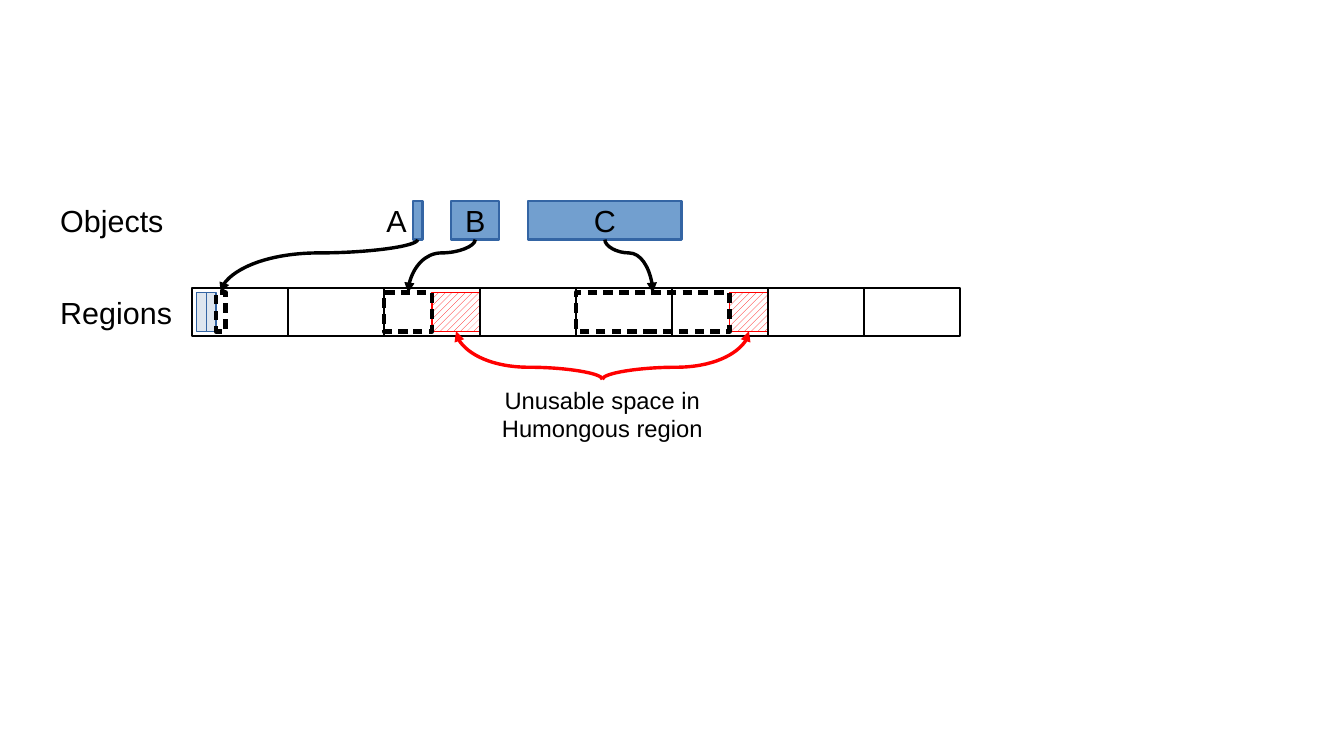
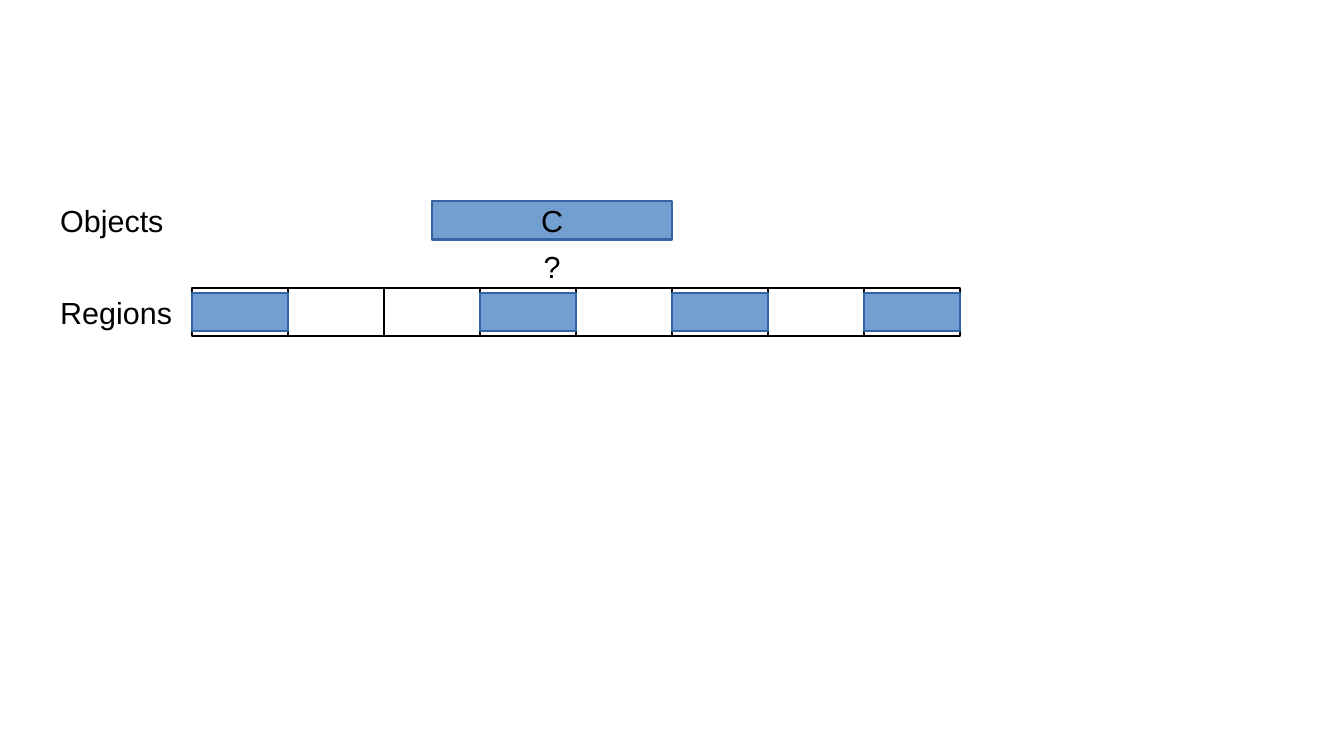
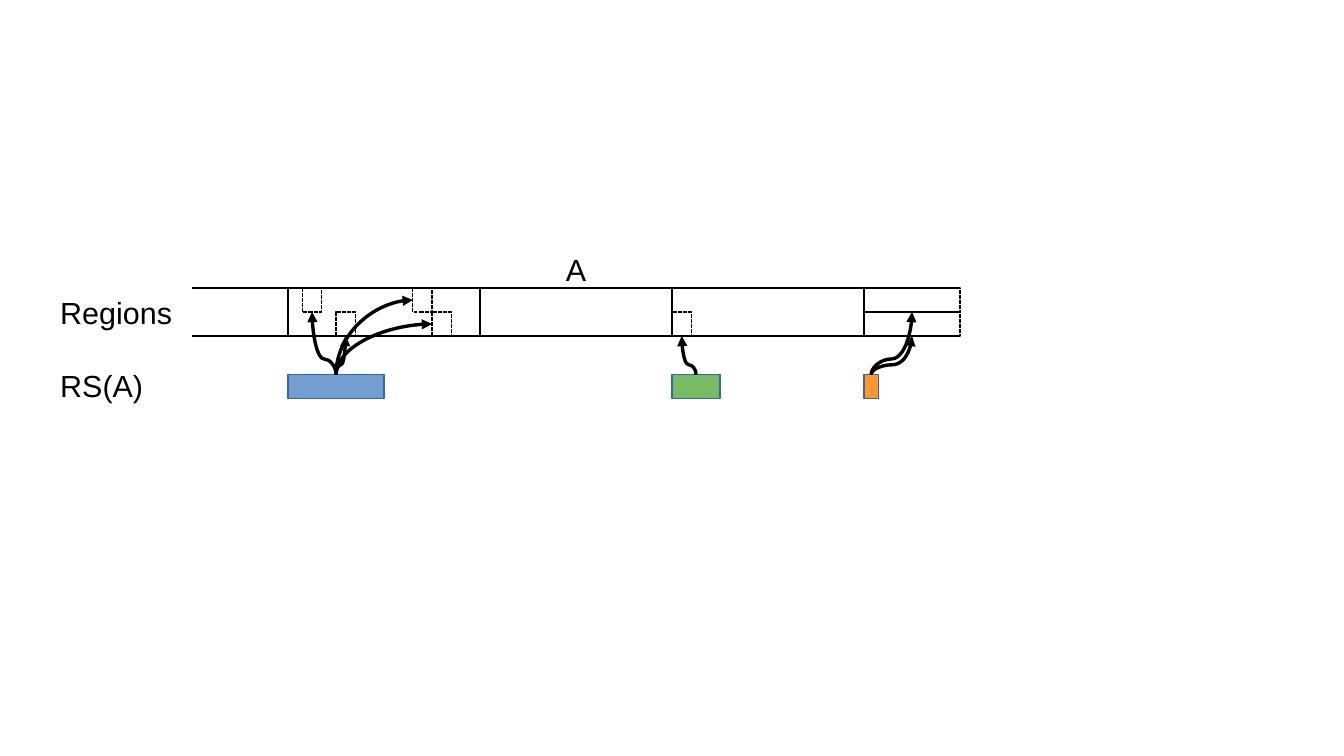
from lxml import etree
from pptx import Presentation
from pptx.dml.color import RGBColor
from pptx.enum.dml import MSO_PATTERN
from pptx.enum.shapes import MSO_CONNECTOR, MSO_SHAPE
from pptx.enum.text import MSO_ANCHOR, MSO_AUTO_SIZE, PP_ALIGN
from pptx.oxml.ns import qn
from pptx.util import Pt

RECTANGLE = MSO_SHAPE.RECTANGLE
STRAIGHT, CURVE = MSO_CONNECTOR.STRAIGHT, MSO_CONNECTOR.CURVE
HATCH = MSO_PATTERN.WIDE_UPWARD_DIAGONAL
LEFT, CENTER = PP_ALIGN.LEFT, PP_ALIGN.CENTER
TOP_ANCHOR, MIDDLE_ANCHOR = MSO_ANCHOR.TOP, MSO_ANCHOR.MIDDLE
FIT_SHAPE = MSO_AUTO_SIZE.SHAPE_TO_FIT_TEXT
TOP, LEFT_SIDE, BOTTOM = 0, 1, 2

BLACK = RGBColor(0x00, 0x00, 0x00)
WHITE = RGBColor(0xFF, 0xFF, 0xFF)
RED = RGBColor(0xFF, 0x00, 0x00)
BLUE = RGBColor(0x72, 0x9F, 0xCF)
PALE_BLUE = RGBColor(0xDE, 0xE6, 0xEF)
DARK_BLUE = RGBColor(0x34, 0x65, 0xA4)
GREEN = RGBColor(0x77, 0xBC, 0x65)
ORANGE = RGBColor(0xFF, 0x97, 0x2F)

FONT = "Arial"
SLIDE_WIDTH, SLIDE_HEIGHT = 793.7, 446.4
HAIRLINE, NORMAL, HEAVY = 0, 1.42, 2.83
HEAVY_DASH, FINE_DASH = (200, 130), (300, 100)  # percent of the line width

# Horizontal places are counted in regions from the start of the heap.
HEAP_LEFT, REGION_WIDTH = 113.4, 56.7
REGION_TOP, REGION_HEIGHT = 170.1, 28.3
HALF_HEIGHT = REGION_HEIGHT / 2
OBJECT_TOP, OBJECT_HEIGHT = 118.8, 22.7
USED_TOP = REGION_TOP + (REGION_HEIGHT - OBJECT_HEIGHT) / 2
REMEMBERED_TOP = 221.2
LABEL_LEFT, LABEL_WIDTH, LABEL_HEIGHT = 28.5, 85, 47.5
OBJECTS_LABEL_TOP, REMEMBERED_LABEL_TOP = 116, 213.1
CURVE_BEND = 0.25

REGION_COUNT = 8
# start, width, label, then start of the place the object goes to
HUMONGOUS_OBJECTS = [(2.3, 0.1, "", 0.25), (2.7, 0.5, "B", 2), (3.5, 1.6, "C", 4)]
SMALL_OBJECTS = [0.05, 0.15]
UNUSABLE_SPACES = [(2.5, 0.5), (5.6, 0.4)]
UNUSABLE_TEXT = "Unusable space in\nHumongous region"
OCCUPIED_REGIONS = [0, 3, 5, 7]

# start, width, colour, then cards as (start, width, row, side the arrow reaches)
REMEMBERED_SETS = [
    (1, 1, BLUE, [(1.15, 0.2, 0, BOTTOM), (1.5, 0.2, 1, BOTTOM),
                  (2.3, 0.2, 0, LEFT_SIDE), (2.5, 0.2, 1, LEFT_SIDE)]),
    (5, 0.5, GREEN, [(5, 0.2, 1, BOTTOM)]),
    (7, 0.15, ORANGE, [(7, 1, 0, BOTTOM), (7, 1, 1, BOTTOM)]),
]


def column(position):
    return HEAP_LEFT + position * REGION_WIDTH


def write(shape, text, size=18, align=CENTER, anchor=MIDDLE_ANCHOR, wrap=False):
    frame = shape.text_frame
    frame.word_wrap = wrap
    frame.vertical_anchor = anchor
    paragraph = frame.paragraphs[0]
    paragraph.text = text
    paragraph.alignment = align
    for run in paragraph.runs:
        run.font.name = FONT
        run.font.size = Pt(size)
        run.font.color.rgb = BLACK


def add_text(slide, text, left, top, width, height, **text_format):
    box = slide.shapes.add_textbox(Pt(left), Pt(top), Pt(width), Pt(height))
    write(box, text, anchor=TOP_ANCHOR, wrap=True, **text_format)
    box.text_frame.auto_size = FIT_SHAPE
    return box


def add_row_label(slide, text, top):
    add_text(slide, text, LABEL_LEFT, top, LABEL_WIDTH, LABEL_HEIGHT, align=LEFT)


def set_dash(line, dash):
    custom = etree.SubElement(line._get_or_add_ln(), qn("a:custDash"))
    stop = etree.SubElement(custom, qn("a:ds"))
    for name, percent in zip(("d", "sp"), dash):
        stop.set(name, str(percent * 1000))


def add_block(slide, start, width, top, height, fill=None, line=BLACK,
              weight=NORMAL, dash=None, text=""):
    """Add a rectangle whose start and width are counted in regions."""
    block = slide.shapes.add_shape(RECTANGLE, Pt(column(start)), Pt(top),
                                   Pt(width * REGION_WIDTH), Pt(height))
    block.shadow.inherit = False
    if fill is None:
        block.fill.background()
    else:
        block.fill.solid()
        block.fill.fore_color.rgb = fill
    block.line.color.rgb = line
    block.line.width = Pt(weight)
    if dash:
        set_dash(block.line, dash)
    if text:
        write(block, text)
    return block


def add_regions(slide, starts, width=1):
    for start in starts:
        add_block(slide, start, width, REGION_TOP, REGION_HEIGHT)


def add_line(slide, kind, ends, color=BLACK, weight=NORMAL):
    connector = slide.shapes.add_connector(kind, *(Pt(value) for value in ends))
    connector.line.color.rgb = color
    connector.line.width = Pt(weight)
    etree.SubElement(connector._element.spPr, qn("a:effectLst"))
    return connector


def add_curved_arrow(slide, source, source_side, target, target_side, color=BLACK):
    """Join two shapes by a curve that leaves the source vertically."""
    connector = add_line(slide, CURVE, (0, 0, 0, 0), color, HAIRLINE)
    connector.begin_connect(source, source_side)
    connector.end_connect(target, target_side)
    across = connector.end_x - connector.begin_x
    down = connector.end_y - connector.begin_y
    center_x = (connector.begin_x + connector.end_x) // 2
    center_y = (connector.begin_y + connector.end_y) // 2

    # The preset curve runs sideways, so its frame is turned by a quarter.
    connector.width, connector.height = abs(down), abs(across)
    connector.left = center_x - abs(down) // 2
    connector.top = center_y - abs(across) // 2
    flip_h, flip_v = across > 0, down < 0
    properties = connector._element.spPr
    frame = properties.find(qn("a:xfrm"))
    frame.set("rot", str((90 if flip_h == flip_v else 270) * 60000))
    frame.set("flipH", str(int(flip_h)))
    frame.set("flipV", str(int(flip_v)))

    geometry = properties.find(qn("a:prstGeom"))
    if target_side == LEFT_SIDE:
        geometry.set("prst", "curvedConnector2")
    else:
        guide = etree.SubElement(geometry.find(qn("a:avLst")), qn("a:gd"))
        guide.set("name", "adj1")
        guide.set("fmla", f"val {int(CURVE_BEND * 100000)}")
    tail = etree.SubElement(connector.line._get_or_add_ln(), qn("a:tailEnd"))
    tail.set("type", "triangle")


def build_allocation(slide):
    unusable = []
    for start, width in UNUSABLE_SPACES:
        space = add_block(slide, start, width, USED_TOP, OBJECT_HEIGHT,
                          line=RED, weight=HAIRLINE)
        space.fill.patterned()
        space.fill.pattern = HATCH
        space.fill.fore_color.rgb = RED
        space.fill.back_color.rgb = WHITE
        unusable.append(space)
    note = add_text(slide, UNUSABLE_TEXT, column(2.75), 224, 172.8, 39, size=14)
    add_regions(slide, range(REGION_COUNT))
    add_row_label(slide, "Objects", OBJECTS_LABEL_TOP)
    add_row_label(slide, "Regions", REGION_TOP)
    for start in SMALL_OBJECTS:
        add_block(slide, start, 0.1, USED_TOP, OBJECT_HEIGHT, PALE_BLUE,
                  DARK_BLUE, HAIRLINE)
    add_text(slide, "A", column(1.83), OBJECT_TOP - 3, 34, 29)
    for start, width, text, place_start in HUMONGOUS_OBJECTS:
        item = add_block(slide, start, width, OBJECT_TOP, OBJECT_HEIGHT, BLUE,
                         DARK_BLUE, text=text)
        place = add_block(slide, place_start, width, USED_TOP, OBJECT_HEIGHT,
                          weight=HEAVY, dash=HEAVY_DASH)
        add_curved_arrow(slide, item, BOTTOM, place, TOP)
    for space in unusable:
        add_curved_arrow(slide, note, TOP, space, BOTTOM, RED)


def build_fragmentation(slide):
    add_regions(slide, range(REGION_COUNT))
    add_row_label(slide, "Objects", OBJECTS_LABEL_TOP)
    add_row_label(slide, "Regions", REGION_TOP)
    add_block(slide, 2.5, 2.5, OBJECT_TOP, OBJECT_HEIGHT, BLUE, DARK_BLUE, text="C")
    for start in OCCUPIED_REGIONS:
        add_block(slide, start, 1, USED_TOP, OBJECT_HEIGHT, BLUE, DARK_BLUE)
    add_text(slide, "?", column(2.5), 142.6, 2.5 * REGION_WIDTH, 27.4)


def build_remembered_sets(slide):
    add_regions(slide, (1, 3, 5), width=2)
    for start in (0, 7):
        for y in (REGION_TOP, REGION_TOP + REGION_HEIGHT):
            add_line(slide, STRAIGHT, (column(start), y, column(start + 1), y))
    add_row_label(slide, "Regions", REGION_TOP)
    add_row_label(slide, "RS(A)", REMEMBERED_LABEL_TOP)
    add_text(slide, "A", column(3), 144.7, 2 * REGION_WIDTH, 33)
    for start, width, color, cards in REMEMBERED_SETS:
        remembered = add_block(slide, start, width, REMEMBERED_TOP, HALF_HEIGHT,
                               color, DARK_BLUE, HAIRLINE)
        for card_start, card_width, row, side in cards:
            card = add_block(slide, card_start, card_width,
                             REGION_TOP + row * HALF_HEIGHT, HALF_HEIGHT,
                             weight=HAIRLINE, dash=FINE_DASH)
            add_curved_arrow(slide, remembered, TOP, card, side)


def main():
    presentation = Presentation()
    presentation.slide_width = Pt(SLIDE_WIDTH)
    presentation.slide_height = Pt(SLIDE_HEIGHT)
    blank = presentation.slide_layouts[6]
    for build in (build_allocation, build_fragmentation, build_remembered_sets):
        build(presentation.slides.add_slide(blank))
    presentation.save("out.pptx")


if __name__ == "__main__":
    main()
